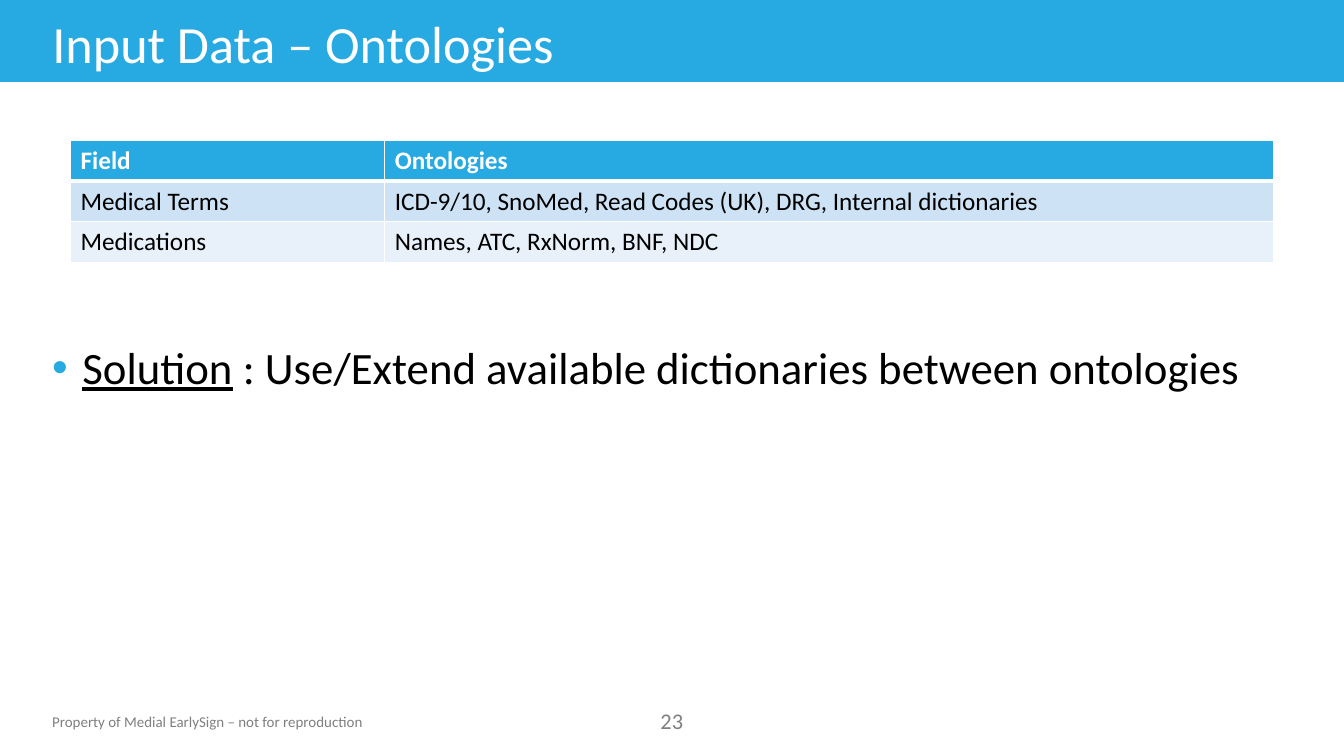
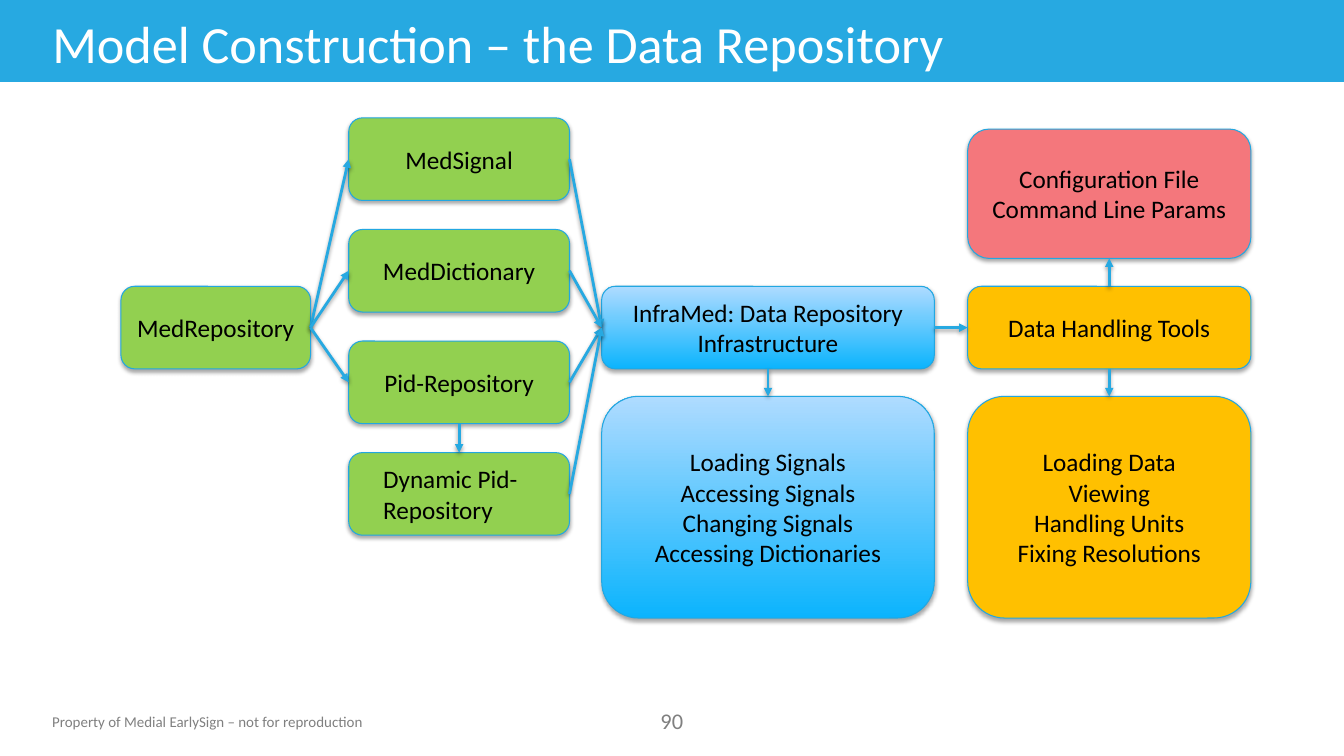
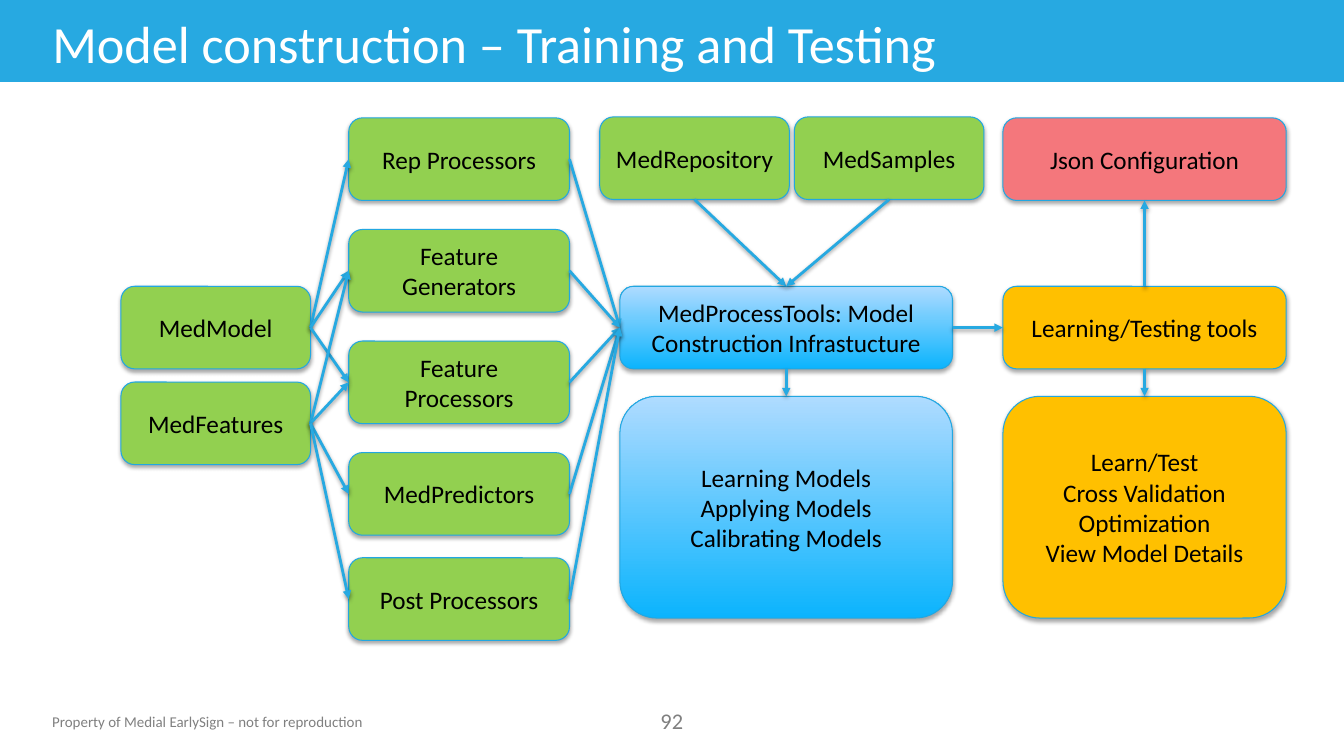
from lxml import etree
from pptx import Presentation
from pptx.dml.color import RGBColor
from pptx.enum import shapes, text
from pptx.oxml.ns import qn
from pptx.util import Pt


class Theme:
    font = "Calibri"
    blue = RGBColor.from_string("27A9E1")
    outline = RGBColor.from_string("22A7E1")
    white = RGBColor.from_string("FFFFFF")
    black = RGBColor.from_string("000000")
    grey = RGBColor.from_string("808080")
    green = RGBColor.from_string("92D050")
    amber = RGBColor.from_string("FFC000")
    red = RGBColor.from_string("F4777C")
    gradient = (RGBColor.from_string("0BB4FD"), RGBColor.from_string("AFDBFF"))
    rows = (blue, RGBColor.from_string("CDE2F4"), RGBColor.from_string("E8F1F9"))
    title_size = Pt(37.3)
    body_size = Pt(32)
    label_size = Pt(18)
    number_size = Pt(16)
    footer_size = Pt(10.7)


def style_text(frame, size, color, align=text.PP_ALIGN.LEFT, bold=False):
    for para in frame.paragraphs:
        para.alignment = align
        for span in para.runs:
            span.font.name = Theme.font
            span.font.size = size
            span.font.bold = bold
            span.font.color.rgb = color


def add_shadow(item, distance, opacity):
    effects = etree.SubElement(item.element.spPr, qn("a:effectLst"))
    shadow = etree.SubElement(
        effects, qn("a:outerShdw"), blurRad=str(Pt(3.1)), dist=str(Pt(distance)),
        dir="5400000", rotWithShape="0")
    color = etree.SubElement(shadow, qn("a:srgbClr"), val=str(Theme.black))
    etree.SubElement(color, qn("a:alpha"), val=str(opacity * 1000))


deck = Presentation()
deck.slide_width, deck.slide_height = Pt(960), Pt(540)

pages = []
for heading, number in (
    ("Input Data – Ontologies", "23"),
    ("Model Construction – the Data Repository", "90"),
    ("Model construction – Training and Testing", "92"),
):
    page = deck.slides.add_slide(deck.slide_layouts[5])
    pages.append(page)
    title = page.shapes.title
    title.left, title.top, title.width, title.height = Pt(30.2), Pt(4.3), Pt(799), Pt(52.6)
    title.text_frame.text = heading
    title.text_frame.auto_size = text.MSO_AUTO_SIZE.NONE
    title.text_frame.vertical_anchor = text.MSO_ANCHOR.MIDDLE
    style_text(title.text_frame, Theme.title_size, Theme.white)

    band = page.shapes.add_shape(shapes.MSO_SHAPE.RECTANGLE, 0, 0, deck.slide_width, Pt(58.6))
    band.shadow.inherit = False
    band.fill.solid()
    band.fill.fore_color.rgb = Theme.blue
    band.line.fill.background()
    title.element.addprevious(band.element)

    for words, left, top, width, height, size, align, wrap in (
        ("Property of Medial EarlySign – not for reproduction",
         30.2, 505.4, 240, 20.2, Theme.footer_size, text.PP_ALIGN.LEFT, False),
        (number, 450.7, 501.8, 58.3, 26.6, Theme.number_size, text.PP_ALIGN.CENTER, True),
    ):
        box = page.shapes.add_textbox(Pt(left), Pt(top), Pt(width), Pt(height))
        box.text_frame.word_wrap = wrap
        box.text_frame.text = words
        style_text(box.text_frame, size, Theme.grey, align)

ontology_rows = (
    ("Field", "Ontologies"),
    ("Medical Terms", "ICD-9/10, SnoMed, Read Codes (UK), DRG, Internal dictionaries"),
    ("Medications", "Names, ATC, RxNorm, BNF, NDC"),
)
table = pages[0].shapes.add_table(3, 2, Pt(50.4), Pt(100.1), Pt(859.7), Pt(87.6)).table
table.columns[0].width, table.columns[1].width = Pt(224.4), Pt(635.3)
for row, values in enumerate(ontology_rows):
    table.rows[row].height = Pt(29.2)
    for column, value in enumerate(values):
        cell = table.cell(row, column)
        cell.text_frame.text = value
        style_text(cell.text_frame, Theme.label_size,
                   Theme.black if row else Theme.white, bold=row == 0)
        properties = cell._tc.get_or_add_tcPr()
        for side in ("lnL", "lnR", "lnT", "lnB"):
            heavy = (row, side) in ((0, "lnB"), (1, "lnT"))
            border = etree.SubElement(properties, qn("a:" + side), w=str(Pt(3 if heavy else 1)))
            paint = etree.SubElement(border, qn("a:solidFill"))
            etree.SubElement(paint, qn("a:srgbClr"), val=str(Theme.white))
        cell.fill.solid()
        cell.fill.fore_color.rgb = Theme.rows[row]

solution = pages[0].shapes.add_textbox(Pt(30.2), Pt(239), Pt(887), Pt(48))
solution.text_frame.word_wrap = True
para = solution.text_frame.paragraphs[0]
bullet = solution.element.find(".//" + qn("a:p")).get_or_add_pPr()
bullet.set("marL", str(Pt(21.6)))
bullet.set("indent", str(Pt(-21.6)))
bullet_color = etree.SubElement(bullet, qn("a:buClr"))
etree.SubElement(bullet_color, qn("a:srgbClr"), val=str(Theme.blue))
etree.SubElement(bullet, qn("a:buFont"), typeface="Arial")
etree.SubElement(bullet, qn("a:buChar"), char="•")
for words in ("Solution", " : Use/Extend available dictionaries between ontologies"):
    para.add_run().text = words
style_text(solution.text_frame, Theme.body_size, Theme.black)
para.runs[0].font.underline = True

box_height, list_height = 59, 158.4
source_left, source_width = 86.4, 135.4
part_left, part_width = 249.1, 157.7
core_width, tool_width = 237.6, 202.3
main_top, list_top, input_top = 204.5, 283.1, 83.5
part_tops = [84.2 + 79.7 * step for step in range(4)] + [398.4]

repository_boxes = {
    "source": ("MedRepository", source_left, main_top, source_width, box_height, Theme.green),
    "core": ("InfraMed: Data Repository Infrastructure",
             429.8, main_top, core_width, box_height, Theme.gradient),
    "core list": ("Loading Signals\nAccessing Signals\nChanging Signals\nAccessing Dictionaries",
                  429.8, list_top, core_width, list_height, Theme.gradient),
    "tools": ("Data Handling Tools", 691.2, main_top, tool_width, box_height, Theme.amber),
    "tools list": ("Loading Data\nViewing\nHandling Units\nFixing Resolutions",
                   691.2, list_top, tool_width, list_height, Theme.amber),
    "config": ("Configuration File\nCommand Line Params",
               691.2, 92.2, tool_width, 92.4, Theme.red),
}
training_boxes = {
    "source": ("MedModel", source_left, main_top, source_width, box_height, Theme.green),
    "features": ("MedFeatures", source_left, 272.9, source_width, box_height, Theme.green),
    "repository": ("MedRepository", 428.4, input_top, source_width, box_height, Theme.green),
    "samples": ("MedSamples", 567.4, input_top, source_width, box_height, Theme.green),
    "core": ("MedProcessTools: Model Construction Infrastucture",
             442.8, main_top, core_width, box_height, Theme.gradient),
    "core list": ("Learning Models\nApplying Models\nCalibrating Models",
                  442.8, list_top, core_width, list_height, Theme.gradient),
    "tools": ("Learning/Testing tools", 716.4, main_top, tool_width, box_height, Theme.amber),
    "tools list": ("Learn/Test\nCross Validation\nOptimization\nView Model Details",
                   716.4, list_top, tool_width, list_height, Theme.amber),
    "config": ("Json Configuration", 716.4, part_tops[0], tool_width, box_height, Theme.red),
}
repository_parts = ("MedSignal", "MedDictionary", "Pid-Repository", "Dynamic Pid-Repository")
training_parts = ("Rep Processors", "Feature Generators", "Feature Processors",
                  "MedPredictors", "Post Processors")

TOP, LEFT, BOTTOM, RIGHT = range(4)
shared_arrows = [
    ("core", BOTTOM, "core list", TOP),
    ("core", RIGHT, "tools", LEFT),
    ("tools", BOTTOM, "tools list", TOP),
    ("tools", TOP, "config", BOTTOM),
] + [("source", RIGHT, part, LEFT) for part in range(3)]
repository_arrows = [(2, BOTTOM, 3, TOP)]
training_arrows = [("repository", BOTTOM, "core", TOP), ("samples", BOTTOM, "core", TOP)]
training_arrows += [("features", RIGHT, part, LEFT) for part in range(1, 5)]

for page, boxes, parts, arrows in (
    (pages[1], repository_boxes, repository_parts, repository_arrows),
    (pages[2], training_boxes, training_parts, training_arrows),
):
    for part, (words, top) in enumerate(zip(parts, part_tops)):
        boxes[part] = (words, part_left, top, part_width, box_height, Theme.green)
    drawn = {}
    for name, (words, left, top, width, height, fill) in boxes.items():
        box = page.shapes.add_shape(
            shapes.MSO_SHAPE.ROUNDED_RECTANGLE, Pt(left), Pt(top), Pt(width), Pt(height))
        drawn[name] = box
        if fill == Theme.gradient:
            box.fill.gradient()
            box.fill.gradient_angle = 90
            for stop, color in zip(box.fill.gradient_stops, fill):
                stop.color.rgb = color
        else:
            box.fill.solid()
            box.fill.fore_color.rgb = fill
        box.line.color.rgb = Theme.outline
        box.line.width = Pt(0.75)
        add_shadow(box, 1.8, 35)
        box.text_frame.text = words
        style_text(box.text_frame, Theme.label_size, Theme.black, text.PP_ALIGN.CENTER)

    if page is pages[1]:
        dynamic = drawn[3].text_frame
        dynamic.margin_left = Pt(21.7)
        dynamic.paragraphs[0].alignment = text.PP_ALIGN.LEFT

    part_arrows = [(part, RIGHT, "core", LEFT) for part in range(len(parts))]
    for start, start_side, end, end_side in shared_arrows + arrows + part_arrows:
        arrow = page.shapes.add_connector(shapes.MSO_CONNECTOR.STRAIGHT, 0, 0, 0, 0)
        arrow.begin_connect(drawn[start], start_side)
        arrow.end_connect(drawn[end], end_side)
        arrow.line.color.rgb = Theme.blue
        arrow.line.width = Pt(2)
        etree.SubElement(arrow.element.spPr.find(qn("a:ln")), qn("a:tailEnd"), type="triangle")
        add_shadow(arrow, 1.6, 38)

deck.save("out.pptx")
